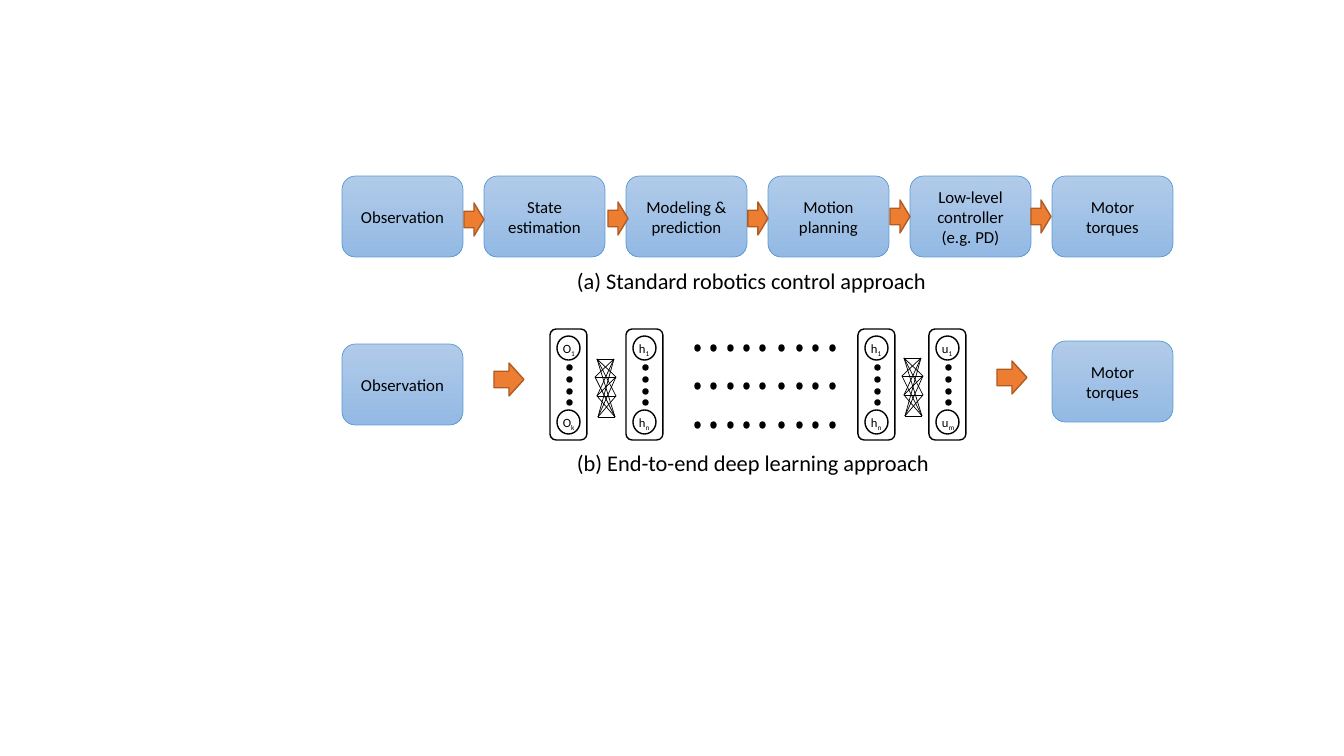
import itertools
import pptx
import pptx.util
import pptx.oxml.ns
from pptx.dml.color import RGBColor
from pptx.enum.shapes import MSO_CONNECTOR, MSO_SHAPE
from pptx.enum.text import PP_ALIGN
from lxml import etree

PX = 914400 / 100.8
FONT = "Calibri"
BLACK = RGBColor(0, 0, 0)
WHITE = RGBColor(255, 255, 255)
BLUE_TOP = RGBColor(0xB1, 0xCB, 0xE9)
BLUE_BOTTOM = RGBColor(0x93, 0xB9, 0xE4)
BLUE_LINE = RGBColor(0x5B, 0x9B, 0xD5)
ORANGE = RGBColor(0xED, 0x7D, 0x31)
ORANGE_LINE = RGBColor(0xAF, 0x5C, 0x24)

STAGES = ["Observation", "State estimation", "Modeling & prediction",
          "Motion planning", "Low-level controller (e.g. PD)", "Motor torques"]
STAGE_LEFT, STAGE_PITCH, STAGE_TOP = 342, 142, 176
END_STAGES = [(0, 344), (5, 341)]
STAGE_ARROWS = [(464, 203), (608, 202), (748, 202), (890, 200), (1031, 200)]
END_ARROWS = [(494, 363), (997, 361)]
CAPTIONS = [("(a) Standard robotics control approach", 262),
            ("(b) End-to-end deep learning approach", 444)]

LAYERS = [(550, "O", "1", "k"), (626, "h", "1", "n"),
          (858, "h", "1", "n"), (929, "u", "1", "m")]
LAYER_TOP = 329
NODE_TOPS = (336, 410)
LAYER_DOTS = (365, 377, 389, 400)

ELLIPSIS_COLUMNS = (695, 711, 728, 744, 760, 779, 797, 813, 830)
ELLIPSIS_ROWS = (345, 383, 422)

MESH_LEFT = [(597, 359), (595, 377), (597, 396), (598, 417)]
MESH_RIGHT = [(614, 359), (616, 377), (616, 396), (615, 417)]
MESH_SKIPPED = (MESH_LEFT[1], MESH_RIGHT[2])
MESH_SHIFTS = [(0, 0), (307, -1)]

prs = pptx.Presentation()
prs.slide_width, prs.slide_height = round(1344 * PX), round(756 * PX)
s = prs.slides.add_slide(prs.slide_layouts[6])


def emu(*lengths):
    return [round(n * PX) for n in lengths]


def add_shape(kind, x, y, w, h, fill, line, width=1):
    sp = s.shapes.add_shape(kind, *emu(x, y, w, h))
    sp.shadow.inherit = False
    if isinstance(fill, tuple) and not isinstance(fill, RGBColor):
        sp.fill.gradient()
        sp.fill.gradient_angle = 270
        for stop, color in zip(sp.fill.gradient_stops, fill):
            stop.color.rgb = color
    else:
        sp.fill.solid()
        sp.fill.fore_color.rgb = fill
    sp.line.color.rgb = line
    sp.line.width = pptx.util.Pt(width)
    return sp


def style(p, size):
    p.font.name = FONT
    p.font.size = pptx.util.Pt(size)
    p.font.color.rgb = BLACK


def add_stage(i, y):
    sp = add_shape(MSO_SHAPE.ROUNDED_RECTANGLE, STAGE_LEFT + i * STAGE_PITCH, y,
                   121, 81, (BLUE_TOP, BLUE_BOTTOM), BLUE_LINE, 0.5)
    p = sp.text_frame.paragraphs[0]
    p.text = STAGES[i]
    p.alignment = PP_ALIGN.CENTER
    style(p, 12)


def add_text(x, y, w, h, size, text, subscript="", wrap=True):
    tf = s.shapes.add_textbox(*emu(x, y, w, h)).text_frame
    tf.word_wrap = wrap
    p = tf.paragraphs[0]
    p.add_run().text = text
    if subscript:
        r = p.add_run()
        r.text = subscript
        r._r.get_or_add_rPr().set("baseline", "-25000")
    style(p, size)


def add_dot(x, y, h):
    add_shape(MSO_SHAPE.OVAL, x, y, 5, h, BLACK, BLACK)


def add_line(start, end, shift):
    ends = [a + b for a, b in zip(start + end, shift * 2)]
    c = s.shapes.add_connector(MSO_CONNECTOR.STRAIGHT, *emu(*ends))
    c.line.color.rgb = BLACK
    c.line.width = pptx.util.Pt(0.5)
    etree.SubElement(c._element.spPr, pptx.oxml.ns.qn("a:effectLst"))


for i in range(len(STAGES)):
    add_stage(i, STAGE_TOP)
for i, y in END_STAGES:
    add_stage(i, y)

for arrows, width in ((STAGE_ARROWS, 20), (END_ARROWS, 30)):
    for x, y in arrows:
        add_shape(MSO_SHAPE.RIGHT_ARROW, x, y, width, 33, ORANGE, ORANGE_LINE)

for x, letter, first, last in LAYERS:
    add_shape(MSO_SHAPE.ROUNDED_RECTANGLE, x, LAYER_TOP, 37, 111, WHITE, BLACK)
    for y, subscript in zip(NODE_TOPS, (first, last)):
        add_shape(MSO_SHAPE.OVAL, x + 7, y, 23, 24, WHITE, BLACK)
        add_text(x + 3, y, 38, 25, 9, letter, subscript)
    for y in LAYER_DOTS:
        add_dot(x + 17, y, 5)

for y, x in itertools.product(ELLIPSIS_ROWS, ELLIPSIS_COLUMNS):
    add_dot(x, y, 6)

for shift in MESH_SHIFTS:
    for pair in itertools.product(MESH_LEFT, MESH_RIGHT):
        if pair != MESH_SKIPPED:
            add_line(*pair, shift)

for text, y in CAPTIONS:
    add_text(567, y, 375, 37, 16, text, wrap=False)

prs.save("out.pptx")
